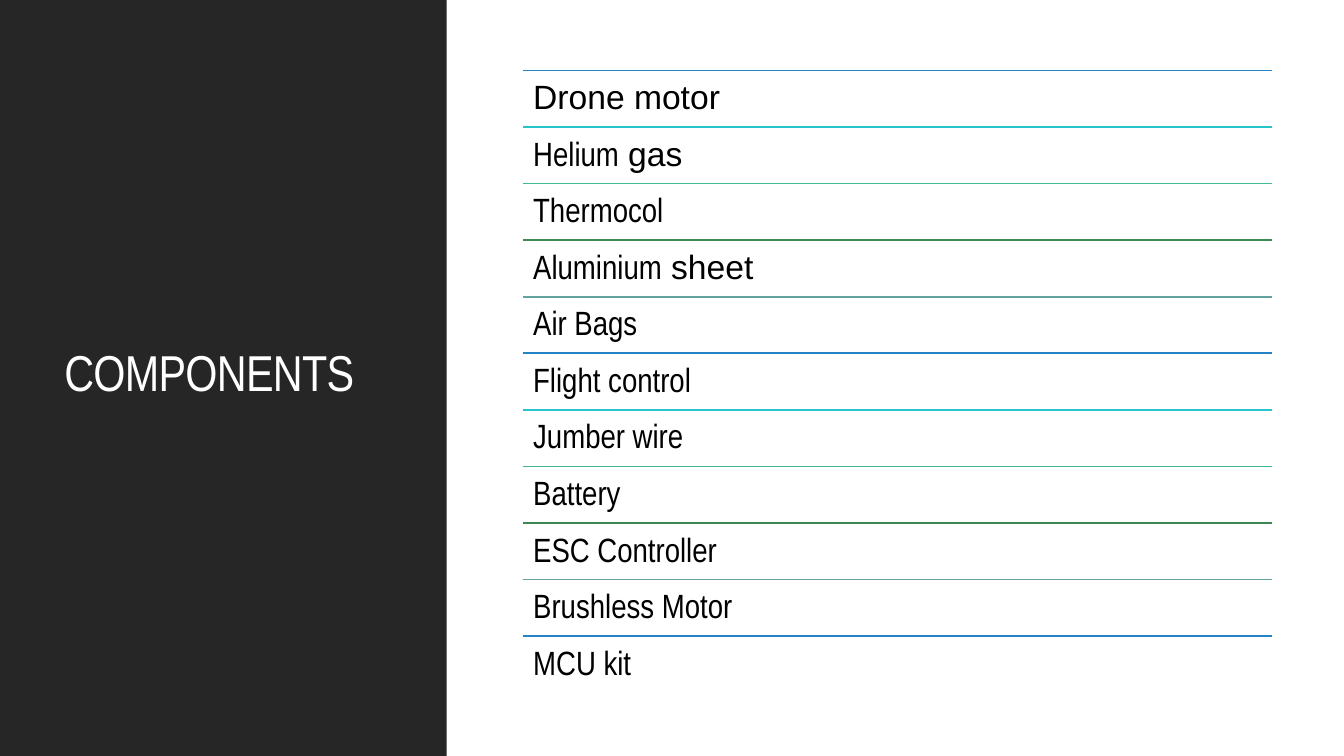
import dataclasses
import typing

import pptx
import pptx.dml.color
import pptx.enum.shapes
import pptx.enum.text
import pptx.oxml
import pptx.oxml.ns
import pptx.presentation
import pptx.slide
import pptx.text.text
import pptx.util

Inches = pptx.util.Inches
Pt = pptx.util.Pt

COLORS = {
    "panel": "262626",
    "title": "FFFFFF",
    "text": "000000",
    "blue": "2683C6",
    "cyan": "28C4CC",
    "mint": "42BA97",
    "green": "3E8853",
    "sage": "62A39F",
}
RULES = ("blue", "cyan", "mint", "green", "sage")
WIDE, SLIM = "Arial", "Arial Narrow"
LEFT, TOP, WIDTH = 5.19, 0.7, 7.43
PITCH = 5.61 / 10


@dataclasses.dataclass(frozen=True)
class Part:
    """A name, set in a slim face followed by a wide one."""
    slim: str = ""
    wide: str = ""


PARTS = (
    Part(wide="Drone motor"),
    Part("Helium", " gas"),
    Part("Thermocol"),
    Part("Aluminium", " sheet"),
    Part("Air Bags"),
    Part("Flight control"),
    Part("Jumber wire"),
    Part("Battery"),
    Part("ESC Controller"),
    Part("Brushless Motor"),
    Part("MCU kit"),
)


def tint(name: str) -> pptx.dml.color.RGBColor:
    return pptx.dml.color.RGBColor.from_string(COLORS[name])


def apply(target: typing.Any, values: dict[str, typing.Any]) -> None:
    for key, value in values.items():
        setattr(target, key, value)


def add_box(slide: pptx.slide.Slide, left: float, top: float, width: float,
            height: float, anchor: pptx.enum.text.MSO_ANCHOR) -> pptx.text.text._Paragraph:
    """Add a wrapped text box and return its first paragraph."""
    box = slide.shapes.add_textbox(Inches(left), Inches(top), Inches(width), Inches(height))
    inset = Inches(0.1)
    apply(box.text_frame, {
        "word_wrap": True,
        "vertical_anchor": anchor,
        "margin_left": inset,
        "margin_right": inset,
        "margin_top": inset,
        "margin_bottom": inset,
    })
    para = box.text_frame.paragraphs[0]
    para.line_spacing = 0.9
    return para


def add_run(para: pptx.text.text._Paragraph, text: str, face: str,
            size: float, color: str) -> pptx.text.text._Run:
    run = para.add_run()
    run.text = text
    apply(run.font, {"name": face, "size": Pt(size)})
    run.font.color.rgb = tint(color)
    return run


def add_panel(slide: pptx.slide.Slide) -> None:
    panel = slide.shapes.add_shape(
        pptx.enum.shapes.MSO_SHAPE.RECTANGLE, 0, 0, Inches(4.43), Inches(7.5))
    panel.shadow.inherit = False
    panel.fill.solid()
    panel.fill.fore_color.rgb = tint("panel")
    panel.line.fill.background()


def add_title(slide: pptx.slide.Slide) -> None:
    para = add_box(slide, 0.54, 0.57, 3.37, 6.31, pptx.enum.text.MSO_ANCHOR.MIDDLE)
    run = add_run(para, "COMPONENTS", SLIM, 36, "title")
    run.font._element.set("spc", "-50")


def add_rule(slide: pptx.slide.Slide, top: float, color: str) -> None:
    rule = slide.shapes.add_connector(
        pptx.enum.shapes.MSO_CONNECTOR.STRAIGHT,
        Inches(LEFT), Inches(top), Inches(LEFT + WIDTH), Inches(top))
    rule.line.color.rgb = tint(color)
    rule.line.width = Pt(1.25)
    rule._element.spPr.append(pptx.oxml.parse_xml(
        f"<a:effectLst {pptx.oxml.ns.nsdecls('a')}/>"))


def add_part(slide: pptx.slide.Slide, top: float, part: Part) -> None:
    para = add_box(slide, LEFT, top, WIDTH, PITCH, pptx.enum.text.MSO_ANCHOR.TOP)
    for text, face in ((part.slim, SLIM), (part.wide, WIDE)):
        if text:
            add_run(para, text, face, 24, "text")


def main() -> None:
    deck = pptx.Presentation()
    apply(deck, {"slide_width": Inches(13.33), "slide_height": Inches(7.5)})
    slide = deck.slides.add_slide(deck.slide_layouts[6])
    add_panel(slide)
    add_title(slide)
    for row, part in enumerate(PARTS):
        top = TOP + row * PITCH
        add_rule(slide, top, RULES[row % len(RULES)])
        add_part(slide, top, part)
    deck.save("out.pptx")


if __name__ == "__main__":
    main()
